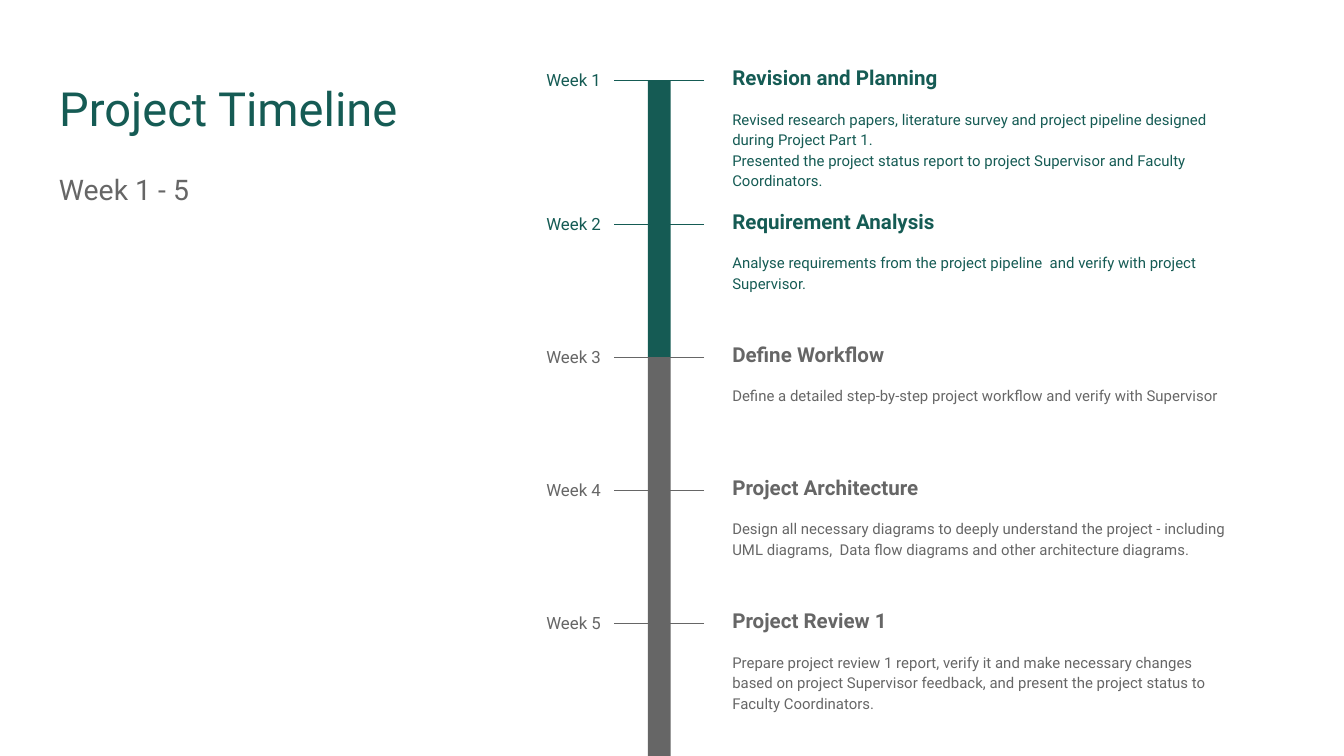
import pptx
import pptx.dml.color
import pptx.enum.shapes
import pptx.enum.text
import pptx.oxml.ns
import pptx.util
from lxml import etree

Inches = pptx.util.Inches
Align = pptx.enum.text.PP_ALIGN

GREEN = "155B54"
GRAY = "666666"
FIRST_HEIGHT = 1.07
WEEK_HEIGHT = 0.99

WEEKS = [
    ("Revision and Planning", GREEN, [
        "Revised research papers, literature survey and project pipeline designed during Project Part 1.",
        "Presented the project status report to project Supervisor and Faculty Coordinators."]),
    ("Requirement Analysis", GREEN, [
        "Analyse requirements from the project pipeline  and verify with project Supervisor."]),
    ("Define Workflow", GRAY, [
        "Define a detailed step-by-step project workflow and verify with Supervisor"]),
    ("Project Architecture", GRAY, [
        "Design all necessary diagrams to deeply understand the project - including UML diagrams,  "
        "Data flow diagrams and other architecture diagrams."]),
    ("Project Review 1", GRAY, [
        "Prepare project review 1 report, verify it and make necessary changes based on project "
        "Supervisor feedback, and present the project status to Faculty Coordinators."]),
]


def rgb(color):
    return pptx.dml.color.RGBColor.from_string(color)


def write(holder, lines, size, color, bold=False, align=Align.LEFT, spacing=1.0):
    frame = holder.text_frame
    frame.text = "\n".join(lines)
    frame.word_wrap = True
    frame.auto_size = pptx.enum.text.MSO_AUTO_SIZE.NONE
    frame.vertical_anchor = pptx.enum.text.MSO_ANCHOR.TOP
    frame.margin_left = frame.margin_right = Inches(0.1)
    frame.margin_top = frame.margin_bottom = Inches(0.1)
    for paragraph in frame.paragraphs:
        paragraph.alignment = align
        paragraph.line_spacing = spacing
        paragraph.space_before = pptx.util.Pt(0)
        for run in paragraph.runs:
            run.font.name = "Roboto"
            run.font.size = pptx.util.Pt(size)
            run.font.bold = bold
            run.font.color.rgb = rgb(color)


def add_text(shapes, left, top, width, height, lines, size, color, **style):
    box = shapes.add_textbox(Inches(left), Inches(top), Inches(width), Inches(height))
    write(box, lines, size, color, **style)
    return box


def add_heading(slide, left, top, width):
    title = slide.shapes.title
    title.left, title.top = Inches(left), Inches(top)
    title.width, title.height = Inches(width), Inches(0.58)
    write(title, ["Project Timeline"], 25.2, GREEN)
    add_text(slide.shapes, left, top + 0.69, width, 0.58, ["Week 1 - 5"], 15.2, GRAY)


def add_week(slide, left, top, height, label, heading, color, details):
    week = slide.shapes.add_group_shape().shapes

    bar = week.add_shape(pptx.enum.shapes.MSO_SHAPE.RECTANGLE, Inches(left + 1.22),
                         Inches(top), Inches(0.17), Inches(height))
    bar.shadow.inherit = False
    bar.fill.solid()
    bar.fill.fore_color.rgb = rgb(color)
    bar.line.fill.background()

    tick = week.add_connector(pptx.enum.shapes.MSO_CONNECTOR.STRAIGHT, Inches(left + 1.64),
                              Inches(top), Inches(left + 0.97), Inches(top))
    tick.line.color.rgb = rgb(color)
    tick.line.width = pptx.util.Pt(0.75)
    etree.SubElement(tick._element.spPr, pptx.oxml.ns.qn("a:effectLst"))

    add_text(week, left + 1.75, top - 0.24, 3.48, 0.34, [heading], 11, color,
             bold=True, spacing=1.15)
    body_height = 0.24 + 0.27 * len(details)
    body = add_text(week, left + 1.75, top + 0.1, 3.88, body_height, details, 8, color,
                    spacing=1.15)
    body.text_frame.paragraphs[-1].space_after = pptx.util.Pt(16)
    add_text(week, left, top - 0.2, 0.97, 0.43, [label], 9, color,
             align=Align.RIGHT, spacing=1.15)


def add_timeline(slide, left, top):
    for number, (heading, color, details) in enumerate(WEEKS, start=1):
        height = FIRST_HEIGHT if number == 1 else WEEK_HEIGHT
        add_week(slide, left, top, height, f"Week {number}", heading, color, details)
        top += height


def main():
    presentation = pptx.Presentation()
    presentation.slide_width = Inches(10)
    presentation.slide_height = Inches(10 * 9 / 16)
    slide = presentation.slides.add_slide(presentation.slide_layouts[5])
    slide.background.fill.solid()
    slide.background.fill.fore_color.rgb = rgb("FFFFFF")
    add_timeline(slide, 3.6, 0.6)
    add_heading(slide, 0.34, 0.49, 3)
    presentation.save("out.pptx")


if __name__ == "__main__":
    main()
